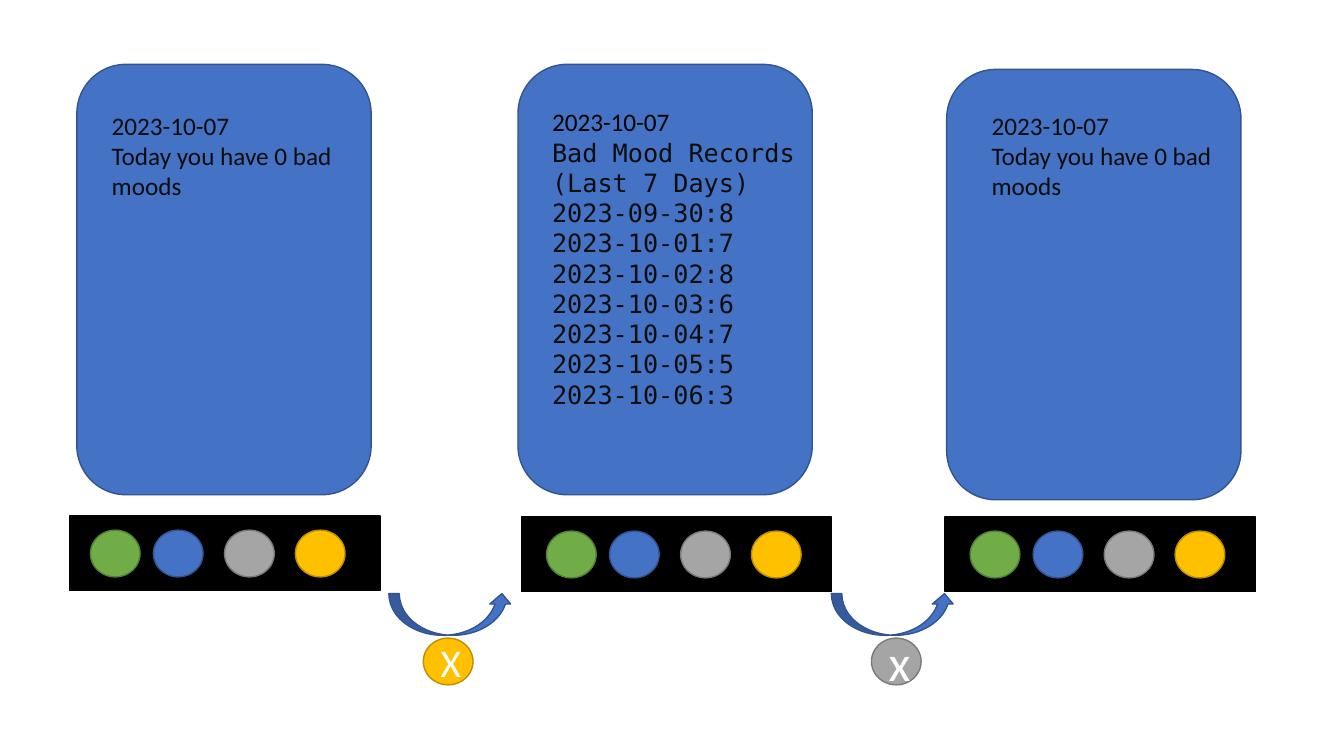
from dataclasses import dataclass

from pptx import Presentation
from pptx.dml.color import RGBColor
from pptx.enum import shapes, text
from pptx.util import Pt

BLACK = RGBColor(0x00, 0x00, 0x00)
INK = RGBColor(0x0D, 0x0D, 0x0D)
WHITE = RGBColor(0xFF, 0xFF, 0xFF)
BLUE, BLUE_EDGE = RGBColor(0x44, 0x72, 0xC4), RGBColor(0x32, 0x54, 0x91)
GREEN, GREEN_EDGE = RGBColor(0x70, 0xAD, 0x47), RGBColor(0x53, 0x80, 0x35)
GREY, GREY_EDGE = RGBColor(0xA5, 0xA5, 0xA5), RGBColor(0x7A, 0x7A, 0x7A)
GOLD, GOLD_EDGE = RGBColor(0xFF, 0xC0, 0x00), RGBColor(0xBD, 0x8E, 0x00)

SANS, MONO = "Calibri", "DejaVu Sans Mono"
SHAPE = shapes.MSO_SHAPE
PANEL_W, PANEL_H = 210.2, 307.4
BAR_W, BAR_H = 221.8, 53.3
BUTTON_W, BUTTON_H = 35.5, 33.4
BUTTON_DROP = 10

# Offset from the first button, fill, edge
BUTTONS = [
    (0, GREEN, GREEN_EDGE),
    (45, BLUE, BLUE_EDGE),
    (95.8, GREY, GREY_EDGE),
    (146.4, GOLD, GOLD_EDGE),
]


@dataclass
class Message:
    left: float
    top: float
    width: float
    height: float
    date_color: RGBColor
    body: list[str]
    body_font: str


@dataclass
class Device:
    panel_left: float
    panel_top: float
    bar_left: float
    bar_top: float
    first_button: float
    message: Message


@dataclass
class Step:
    arrow_left: float
    button_left: float
    fill: RGBColor
    edge: RGBColor
    label: str
    size: float
    align: text.PP_ALIGN


NO_MOODS = ["Today you have 0 bad moods"]
COUNTS = {
    "2023-09-30": 8, "2023-10-01": 7, "2023-10-02": 8, "2023-10-03": 6,
    "2023-10-04": 7, "2023-10-05": 5, "2023-10-06": 3,
}
RECORDS = ["Bad Mood Records (Last 7 Days)"] + [
    f"{day}:{count}" for day, count in COUNTS.items()
]

DEVICES = [
    Device(54.9, 46, 49.6, 368.7, 64.6,
           Message(72.7, 75, 175, 75.6, INK, NO_MOODS, SANS)),
    Device(370, 46, 372.3, 369.4, 390.4,
           Message(387.2, 72.7, 200.9, 269.3, BLACK, RECORDS, MONO)),
    Device(676.2, 49.6, 675, 369.4, 693,
           Message(701.2, 75, 175, 75.6, INK, NO_MOODS, SANS)),
]
STEPS = [
    Step(277.8, 302.4, GOLD, GOLD_EDGE, "X", 28, text.PP_ALIGN.CENTER),
    Step(593.9, 622.5, GREY, GREY_EDGE, "x", 36, text.PP_ALIGN.LEFT),
]


def add_shape(s, kind: SHAPE, left: float, top: float, width: float,
              height: float, fill: RGBColor, edge: RGBColor):
    sp = s.shapes.add_shape(kind, Pt(left), Pt(top), Pt(width), Pt(height))
    sp.shadow.inherit = False
    sp.fill.solid()
    sp.fill.fore_color.rgb = fill
    sp.line.color.rgb = edge
    sp.line.width = Pt(1)
    return sp


def add_button(s, left: float, top: float, fill: RGBColor, edge: RGBColor):
    return add_shape(s, SHAPE.OVAL, left, top, BUTTON_W, BUTTON_H, fill, edge)


def style(p, font: str, size: float, color: RGBColor) -> None:
    p.font.name = font
    p.font.size = Pt(size)
    p.font.color.rgb = color


def add_message(s, m: Message) -> None:
    sp = s.shapes.add_textbox(Pt(m.left), Pt(m.top), Pt(m.width), Pt(m.height))
    tf = sp.text_frame
    tf.word_wrap = True
    tf.auto_size = text.MSO_AUTO_SIZE.SHAPE_TO_FIT_TEXT
    tf.text = "2023-10-07"
    style(tf.paragraphs[0], SANS, 18, m.date_color)
    for line in m.body:
        p = tf.add_paragraph()
        p.text = line
        style(p, m.body_font, 18, INK)


def add_device(s, d: Device) -> None:
    add_shape(s, SHAPE.ROUNDED_RECTANGLE, d.panel_left, d.panel_top,
              PANEL_W, PANEL_H, BLUE, BLUE_EDGE)
    add_shape(s, SHAPE.RECTANGLE, d.bar_left, d.bar_top,
              BAR_W, BAR_H, BLACK, BLACK)
    for offset, fill, edge in BUTTONS:
        add_button(s, d.first_button + offset, d.bar_top + BUTTON_DROP,
                   fill, edge)
    add_message(s, d.message)


def add_step(s, step: Step) -> None:
    add_shape(s, SHAPE.CURVED_UP_ARROW, step.arrow_left, 424, 88.2, 29.8,
              BLUE, BLUE_EDGE)
    sp = add_button(s, step.button_left, 455.8, step.fill, step.edge)
    tf = sp.text_frame
    tf.vertical_anchor = text.MSO_ANCHOR.MIDDLE
    p = tf.paragraphs[0]
    p.text = step.label
    p.alignment = step.align
    style(p, SANS, step.size, WHITE)


def main() -> None:
    prs = Presentation()
    prs.slide_width, prs.slide_height = Pt(960), Pt(540)
    s = prs.slides.add_slide(prs.slide_layouts[6])

    # Screens with their button bars
    for device in DEVICES:
        add_device(s, device)

    # Button presses that lead from one screen to the next
    for step in STEPS:
        add_step(s, step)

    prs.save("out.pptx")


if __name__ == "__main__":
    main()
